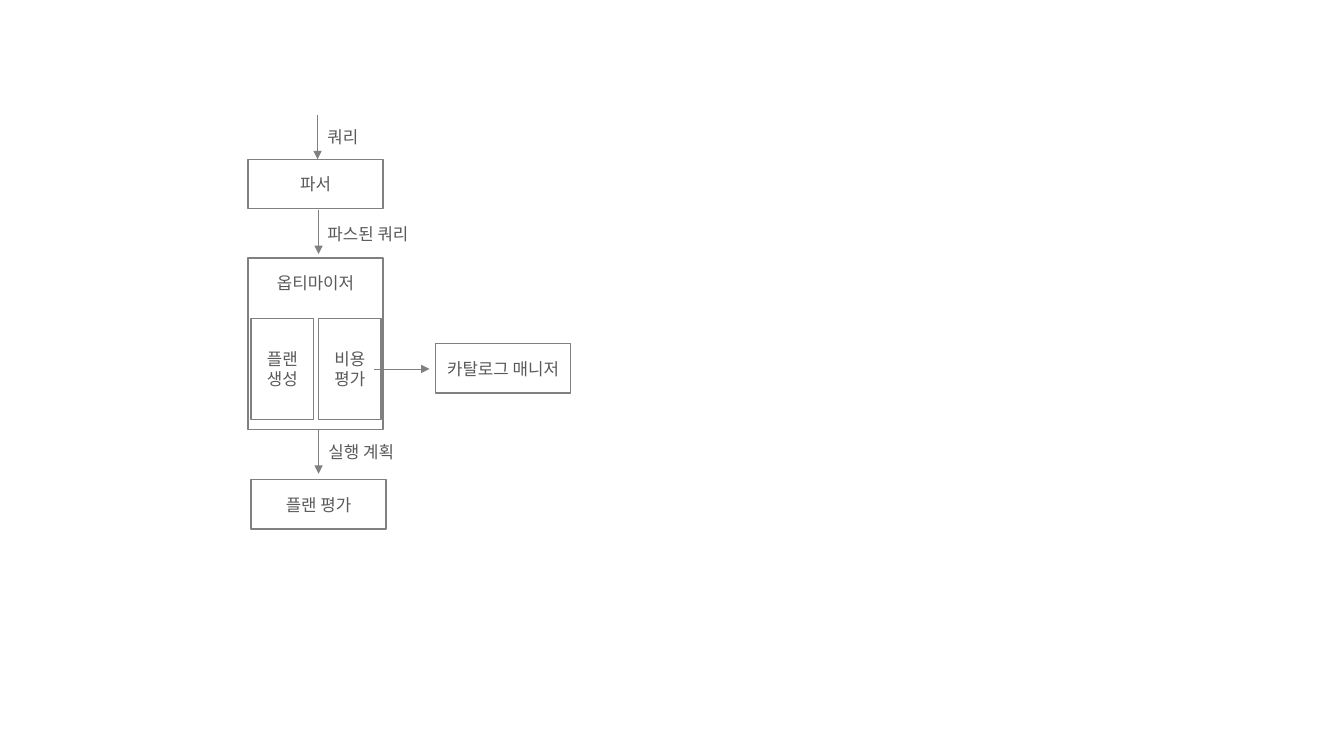
from dataclasses import dataclass
from lxml.etree import SubElement
from pptx import Presentation
from pptx.dml.color import RGBColor
from pptx.enum.shapes import MSO_CONNECTOR, MSO_SHAPE
from pptx.enum.text import MSO_ANCHOR, PP_ALIGN
from pptx.oxml.ns import qn
from pptx.util import Inches, Pt


@dataclass(frozen=True)
class Theme:
    font: str = "Noto Sans CJK KR"
    size: float = 12
    text: RGBColor = RGBColor(0x59, 0x59, 0x59)
    line: RGBColor = RGBColor(0x80, 0x80, 0x80)
    box_width: float = 1
    arrow_width: float = 0.5


THEME = Theme()
STEP_W, STEP_H = 1.34, 0.49
PART_W, PART_H = 0.62, 1
ARROW_H, LABEL_H = 0.44, 0.3

STEPS = [
    ("파서", 2.46, 1.58),
    ("플랜 평가", 2.49, 4.76),
    ("카탈로그 매니저", 4.32, 3.41),
]
OPTIMIZER = ("옵티마이저", 2.46, 2.56, STEP_W, 1.7)
PARTS = [("플랜\n생성", 2.49), ("비용 평가", 3.16)]
PART_TOP = 3.16
FLOWS = [
    ("쿼리", 3.15, 1.14, 3.15, 1.21, 0.9),
    ("파스된 쿼리", 3.16, 2.08, 3.15, 2.17, 1.03),
    ("실행 계획", 3.16, 4.26, 3.16, 4.33, 1.03),
]
CATALOG_CALL = (3.71, 3.66, 4.26, 3.66)


def write(sp, text, align=PP_ALIGN.CENTER, anchor=MSO_ANCHOR.MIDDLE, top=0.05):
    tf = sp.text_frame
    tf.word_wrap = True
    tf.vertical_anchor = anchor
    tf.margin_top = Inches(top)
    tf.text = text
    for p in tf.paragraphs:
        p.alignment = align
        for r in p.runs:
            r.font.name = THEME.font
            r.font.size = Pt(THEME.size)
            r.font.color.rgb = THEME.text
            SubElement(r.font._element, qn("a:ea"), typeface=THEME.font)


def add_box(s, text, x, y, w, h, **fmt):
    sp = s.shapes.add_shape(MSO_SHAPE.RECTANGLE, *map(Inches, (x, y, w, h)))
    sp.shadow.inherit = False
    sp.fill.background()
    sp.line.color.rgb = THEME.line
    sp.line.width = Pt(THEME.box_width)
    write(sp, text, **fmt)


def add_arrow(s, *ends):
    sp = s.shapes.add_connector(MSO_CONNECTOR.STRAIGHT, *map(Inches, ends))
    sp.line.color.rgb = THEME.line
    sp.line.width = Pt(THEME.arrow_width)
    SubElement(sp.line._get_or_add_ln(), qn("a:tailEnd"), type="triangle")
    SubElement(sp._element.spPr, qn("a:effectLst"))


def add_label(s, text, x, y, w):
    sp = s.shapes.add_textbox(*map(Inches, (x, y, w, LABEL_H)))
    write(sp, text, align=PP_ALIGN.LEFT, anchor=MSO_ANCHOR.TOP)


prs = Presentation()
prs.slide_width, prs.slide_height = Inches(13.33), Inches(7.5)
s = prs.slides.add_slide(prs.slide_layouts[6])

add_box(s, *OPTIMIZER, anchor=MSO_ANCHOR.TOP, top=0.15)
for text, x in PARTS:
    add_box(s, text, x, PART_TOP, PART_W, PART_H)
for text, x, y in STEPS:
    add_box(s, text, x, y, STEP_W, STEP_H)
for text, x, y, label_x, label_y, label_w in FLOWS:
    add_arrow(s, x, y, x, y + ARROW_H)
    add_label(s, text, label_x, label_y, label_w)
add_arrow(s, *CATALOG_CALL)

prs.save("out.pptx")
